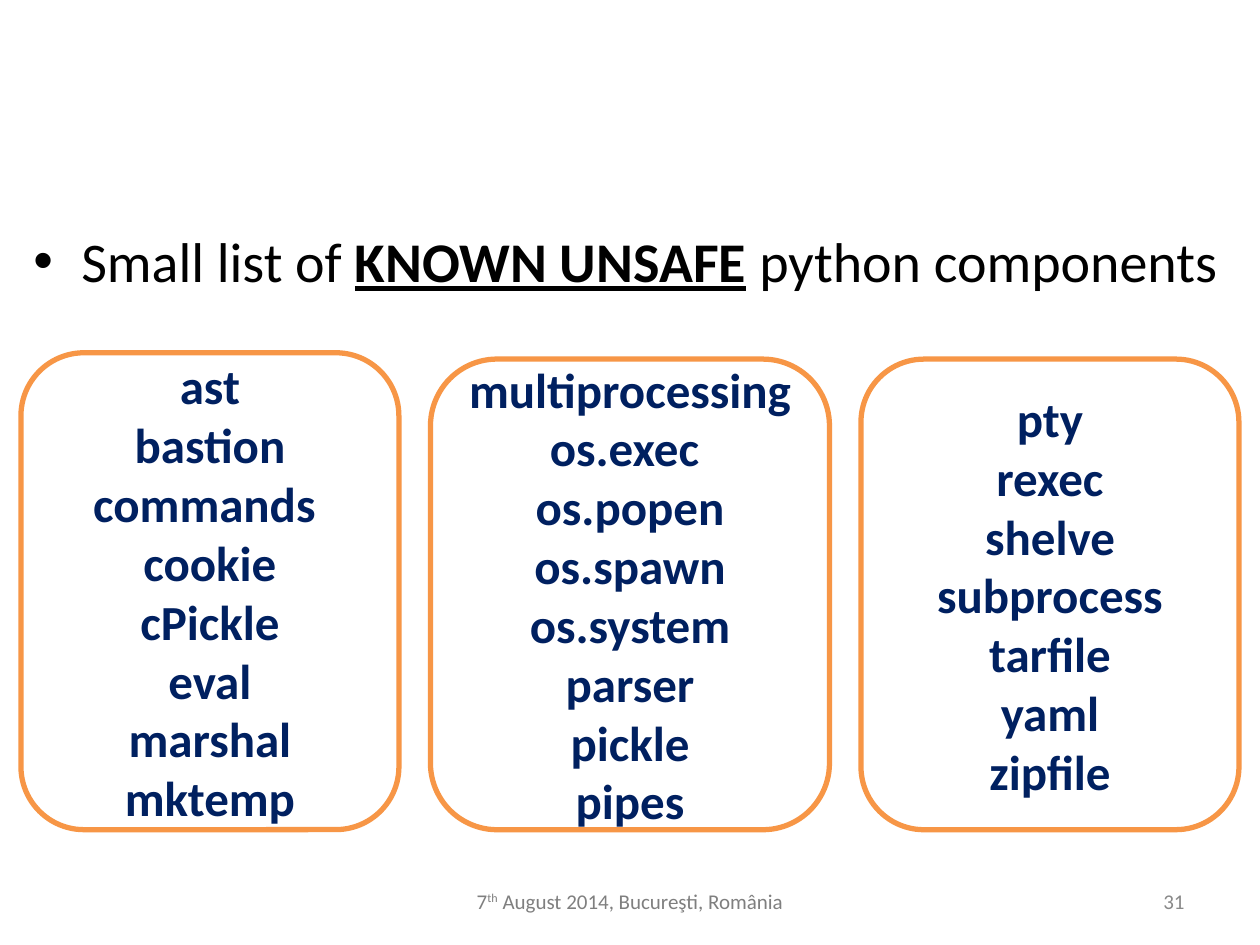
from lxml.etree import SubElement
from pptx import Presentation
from pptx.dml.color import RGBColor
from pptx.enum.shapes import MSO_SHAPE
from pptx.enum.text import MSO_ANCHOR, PP_ALIGN
from pptx.oxml.ns import qn
from pptx.util import Inches, Pt


def color(value):
    return RGBColor.from_string(value)


class SlideBuilder:
    font_name = "Calibri"
    column = Inches(10) / 120
    row = Inches(7.5) / 150

    def __init__(self, deck):
        self.slide = deck.slides.add_slide(deck.slide_layouts[6])

    def area(self, left, top, width, height):
        return (round(left * self.column), round(top * self.row),
                round(width * self.column), round(height * self.row))

    def style(self, para, size, fill, align, bold=False):
        para.alignment = align
        for span in para.runs:
            span.font.name = self.font_name
            span.font.size = Pt(size)
            span.font.bold = bold
            span.font.color.rgb = color(fill)

    def text(self, area, parts, size, fill, align=PP_ALIGN.LEFT, anchor=MSO_ANCHOR.MIDDLE):
        box = self.slide.shapes.add_textbox(*self.area(*area))
        frame = box.text_frame
        frame.word_wrap = True
        frame.vertical_anchor = anchor
        para = frame.paragraphs[0]
        for part in parts:
            para.add_run().text = part
        self.style(para, size, fill, align)
        return para

    def headline(self, area, parts, emphasized):
        para = self.text(area, parts, 32, "000000", anchor=MSO_ANCHOR.TOP)
        properties = para._p.get_or_add_pPr()
        properties.set("marL", str(Inches(0.38)))
        properties.set("indent", str(-Inches(0.38)))
        SubElement(properties, qn("a:buFont"), typeface="Arial")
        SubElement(properties, qn("a:buChar"), char="•")
        para.runs[emphasized].font.bold = True
        para.runs[emphasized].font.underline = True

    def card(self, area, names):
        box = self.slide.shapes.add_shape(MSO_SHAPE.ROUNDED_RECTANGLE, *self.area(*area))
        box.shadow.inherit = False
        box.fill.background()
        box.line.color.rgb = color("F79646")
        box.line.width = Pt(3)
        frame = box.text_frame
        frame.word_wrap = True
        frame.vertical_anchor = MSO_ANCHOR.MIDDLE
        frame.text = "\n".join(names)
        for para in frame.paragraphs:
            self.style(para, 28, "002060", PP_ALIGN.CENTER, bold=True)


def main():
    deck = Presentation()
    deck.slide_width, deck.slide_height = Inches(10), Inches(7.5)
    page = SlideBuilder(deck)

    page.headline((2, 35, 116, 13.4),
                  ["Small list of ", "KNOWN UNSAFE", " python components"], emphasized=1)

    bottom = 131.7
    cards = [
        (2, 56, 36, ["ast", "bastion", "commands ", "cookie", "cPickle", "eval",
                     "marshal", "mktemp"]),
        (41, 57, 38, ["multiprocessing", "os.exec ", "os.popen", "os.spawn", "os.system",
                      "parser", "pickle", "pipes"]),
        (82, 57, 36, ["pty", "rexec", "shelve", "subprocess", "tarfile", "yaml", "zipfile"]),
    ]
    for left, top, width, names in cards:
        page.card((left, top, width, bottom - top), names)

    date = page.text((41, 139, 38, 8), ["7", "th", " August 2014, Bucureşti, România"],
                     12, "7F7F7F", PP_ALIGN.CENTER)
    date.runs[1]._r.get_or_add_rPr().set("baseline", "30000")
    page.text((86, 139, 28, 8), ["31"], 12, "898989", PP_ALIGN.RIGHT)

    deck.save("out.pptx")


if __name__ == "__main__":
    main()
